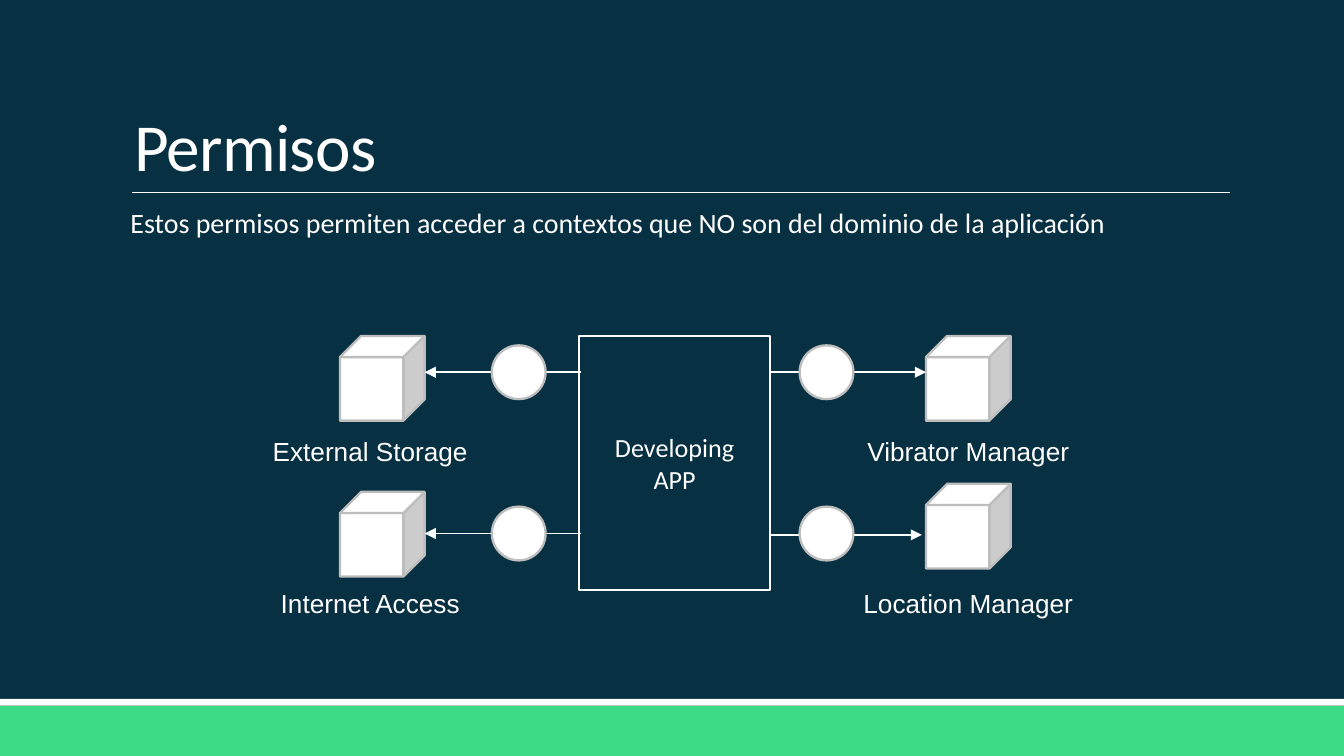
"""Build the slide about application permissions."""
from typing import NamedTuple

from lxml.etree import SubElement
from pptx import Presentation
from pptx.dml.color import RGBColor
from pptx.enum.shapes import MSO_CONNECTOR as Connector, MSO_SHAPE as Shape
from pptx.enum.text import MSO_ANCHOR as Anchor, PP_ALIGN as Align
from pptx.oxml.ns import qn
from pptx.util import Inches, Pt

COLORS = {"navy": "073042", "green": "3DDB85", "white": "FFFFFF", "gray": "BDBDBD"}
CUBE_SIZE = 0.63
CIRCLE_SIZE = 0.4
LABEL_WIDTH = 1.95


class Permission(NamedTuple):
    label: str
    cube_left: float
    cube_top: float
    label_left: float
    label_top: float
    label_width: float
    arrow_start: float
    arrow_end: float
    arrow_y: float
    circle_left: float
    circle_top: float


PERMISSIONS = [
    Permission("Vibrator Manager", 6.89, 2.5, 6.34, 3.19, 1.73, 5.73, 6.89, 2.77, 5.95, 2.57),
    Permission("Location Manager", 6.89, 3.6, 6.23, 4.32, LABEL_WIDTH, 5.73, 6.86, 3.98, 5.95, 3.77),
    Permission("External Storage", 2.53, 2.5, 1.78, 3.19, LABEL_WIDTH, 4.32, 3.16, 2.77, 3.66, 2.57),
    Permission("Internet Access", 2.53, 3.66, 1.78, 4.32, LABEL_WIDTH, 4.32, 3.16, 3.97, 3.66, 3.77),
]


def rgb(name: str) -> RGBColor:
    """Return the named colour."""
    return RGBColor.from_string(COLORS[name])


def add_box(slide, kind, left: float, top: float, width: float, height: float,
            fill: str, line: str | None = None):
    """Draw a filled preset shape, with an outline if a line colour is given."""
    shape = slide.shapes.add_shape(kind, Inches(left), Inches(top), Inches(width), Inches(height))
    shape.shadow.inherit = False
    shape.fill.solid()
    shape.fill.fore_color.rgb = rgb(fill)
    if line:
        shape.line.color.rgb = rgb(line)
        shape.line.width = Pt(1.25)
    else:
        shape.line.fill.background()
    return shape


def add_line(slide, start: tuple[float, float], end: tuple[float, float],
             width: float, arrow: bool = False) -> None:
    """Draw a white straight line, with an arrowhead at its end if wanted."""
    connector = slide.shapes.add_connector(
        Connector.STRAIGHT, *(Inches(value) for value in (*start, *end)))
    connector.line.color.rgb = rgb("white")
    connector.line.width = Pt(width)
    if arrow:
        SubElement(connector.line._get_or_add_ln(), qn("a:tailEnd"), type="triangle")
    SubElement(connector._element.spPr, qn("a:effectLst"))


def write_text(shape, text: str, *, size: float, font: str = "Calibri", align=Align.LEFT,
               anchor=Anchor.TOP, left_inset: float = 0.1, right_inset: float = 0.1,
               line_spacing: float | None = None, tracking: float = 0) -> None:
    """Write one white paragraph into a shape."""
    frame = shape.text_frame
    frame.word_wrap = True
    frame.vertical_anchor = anchor
    frame.margin_left = Inches(left_inset)
    frame.margin_right = Inches(right_inset)
    paragraph = frame.paragraphs[0]
    paragraph.text = text
    paragraph.alignment = align
    paragraph.line_spacing = line_spacing
    for target in (paragraph, *paragraph.runs):
        target.font.name = font
        target.font.size = Pt(size)
        target.font.color.rgb = rgb("white")
    if tracking:
        for run in paragraph.runs:
            run._r.get_or_add_rPr().set("spc", str(round(tracking * 100)))


def add_text(slide, text: str, left: float, top: float, width: float, height: float,
             **text_format) -> None:
    """Add a text box with one formatted paragraph."""
    box = slide.shapes.add_textbox(Inches(left), Inches(top), Inches(width), Inches(height))
    write_text(box, text, **text_format)


def main() -> None:
    """Build and save the presentation."""
    presentation = Presentation()
    presentation.slide_width = Inches(10)
    presentation.slide_height = Inches(10 * 9 / 16)
    slide = presentation.slides.add_slide(presentation.slide_layouts[6])
    slide.background.fill.solid()
    slide.background.fill.fore_color.rgb = rgb("navy")

    add_box(slide, Shape.RECTANGLE, 0, 5.25, 10, 0.38, "green")
    add_box(slide, Shape.RECTANGLE, 0, 5.2, 10, 0.05, "white")
    add_line(slide, (0.98, 1.43), (9.15, 1.43), 0.5)
    add_text(slide, "Permisos", 0.9, 0.24, 8.25, 1.19, size=36, anchor=Anchor.BOTTOM,
             line_spacing=0.85, tracking=-0.4)
    add_text(slide, "Estos permisos permiten acceder a contextos que NO son del dominio de la aplicación",
             0.9, 1.51, 8.25, 3.3, size=15, left_inset=0.07, right_inset=0, line_spacing=0.9)

    add_box(slide, Shape.RECTANGLE, 4.31, 2.5, 1.42, 1.89, "navy", "white")
    app_label = add_box(slide, Shape.RECTANGLE, 4.44, 3.23, 1.16, 0.43, "navy")
    write_text(app_label, "Developing\vAPP", size=14, align=Align.CENTER, anchor=Anchor.MIDDLE)

    for item in PERMISSIONS:
        add_box(slide, Shape.CUBE, item.cube_left, item.cube_top, CUBE_SIZE, CUBE_SIZE, "white", "gray")
        add_text(slide, item.label, item.label_left, item.label_top, item.label_width, 0.34,
                 size=14, font="Arial", align=Align.CENTER)
        add_line(slide, (item.arrow_start, item.arrow_y), (item.arrow_end, item.arrow_y), 1, arrow=True)
        add_box(slide, Shape.OVAL, item.circle_left, item.circle_top, CIRCLE_SIZE, CIRCLE_SIZE,
                "white", "gray")

    presentation.save("out.pptx")


if __name__ == "__main__":
    main()
